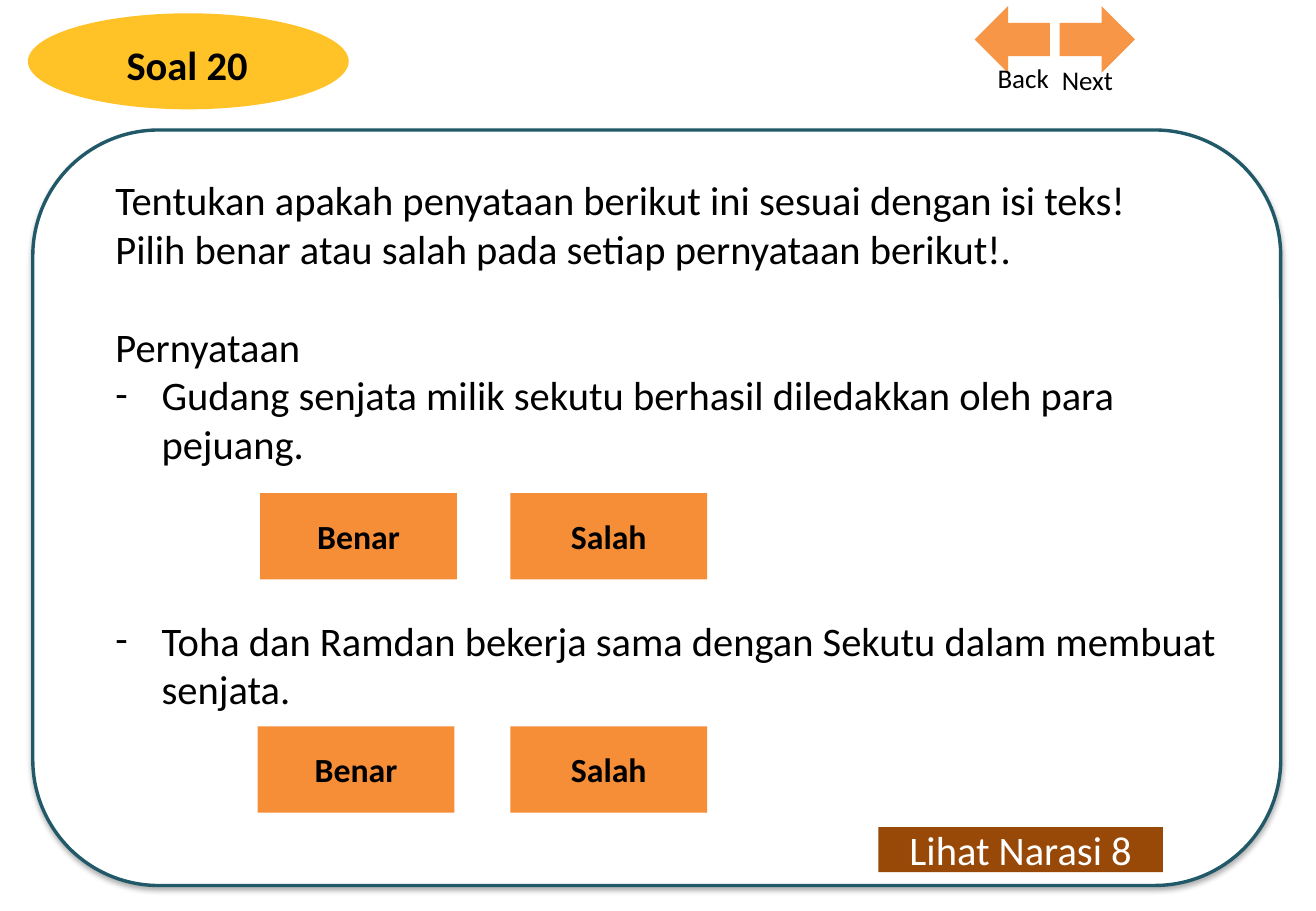
from lxml.etree import SubElement
from pptx import Presentation
from pptx.dml.color import RGBColor
from pptx.enum.shapes import MSO_SHAPE as Preset
from pptx.enum.text import MSO_ANCHOR as Anchor, MSO_AUTO_SIZE as AutoSize, PP_ALIGN as Align
from pptx.oxml.ns import qn
from pptx.util import Emu, Pt

EMU_PER_PX = 9144
BLACK = RGBColor(0x00, 0x00, 0x00)
WHITE = RGBColor(0xFF, 0xFF, 0xFF)
AMBER = RGBColor(0xFF, 0xC3, 0x27)
ORANGE = RGBColor(0xF6, 0x8D, 0x37)
ARROW_ORANGE = RGBColor(0xF7, 0x96, 0x46)
BROWN = RGBColor(0x98, 0x48, 0x07)
TEAL = RGBColor(0x21, 0x59, 0x68)
LINE_PT = 29.3
HANGING_PX = 38


def px(length):
    return Emu(length * EMU_PER_PX)


class QuizSlide:
    """Hold the style and the current slide, with a method per element."""

    style = {"name": "Calibri", "size": Pt(24), "bold": False}

    def __init__(self, presentation):
        self.slide = presentation.slides.add_slide(presentation.slide_layouts[1])

    def place(self, shape, box):
        for name, value in zip(("left", "top", "width", "height"), box):
            setattr(shape, name, px(value))
        self.slide.shapes._spTree.append(shape._element)

    def frame(self, shape, anchor):
        settings = {"word_wrap": True, "auto_size": AutoSize.NONE, "vertical_anchor": anchor}
        for name, value in settings.items():
            setattr(shape.text_frame, name, value)
        return shape.text_frame

    def fill_paragraph(self, paragraph, text, color=BLACK, align=Align.LEFT, before=0, **font):
        paragraph.text = text
        layout = {"alignment": align, "space_before": Pt(before), "space_after": Pt(0), "line_spacing": 1.0}
        for name, value in layout.items():
            setattr(paragraph, name, value)
        for name, value in {**self.style, **font}.items():
            setattr(paragraph.font, name, value)
        paragraph.font.color.rgb = color

    def shape(self, preset, box, fill, line=None, rotation=0):
        shape = self.slide.shapes.add_shape(preset, *map(px, box))
        shape.shadow.inherit = False
        shape.rotation = rotation
        shape.fill.solid()
        shape.fill.fore_color.rgb = fill
        if line is None:
            shape.line.fill.background()
        else:
            shape.line.color.rgb = line
            shape.line.width = Pt(2)
        return shape

    def card(self, box):
        card = self.shape(Preset.ROUNDED_RECTANGLE, box, WHITE, TEAL)
        effects = card._element.spPr.find(qn("a:effectLst"))
        shadow = SubElement(effects, qn("a:outerShdw"), blurRad=str(Pt(3.5)), dist=str(Pt(2.2)),
                            dir="5400000", rotWithShape="0")
        color = SubElement(shadow, qn("a:srgbClr"), val=str(BLACK))
        SubElement(color, qn("a:alpha"), val="32000")

    def button(self, text, box, fill, color=BLACK, **font):
        text_frame = self.frame(self.shape(Preset.RECTANGLE, box, fill), Anchor.MIDDLE)
        self.fill_paragraph(text_frame.paragraphs[0], text, color, Align.CENTER, **font)

    def label(self, text, box, align):
        text_box = self.slide.shapes.add_textbox(*map(px, box))
        text_frame = self.frame(text_box, Anchor.TOP)
        self.fill_paragraph(text_frame.paragraphs[0], text, align=align, size=Pt(16))

    def title(self, text, box):
        title = self.slide.shapes.title
        self.place(title, box)
        text_frame = self.frame(title, Anchor.MIDDLE)
        self.fill_paragraph(text_frame.paragraphs[0], text, align=Align.CENTER, bold=True)

    def body(self, items, box):
        body = self.slide.placeholders[1]
        self.place(body, box)
        text_frame = self.frame(body, Anchor.TOP)
        for index, (text, bulleted, blank_lines) in enumerate(items):
            paragraph = text_frame.add_paragraph() if index else text_frame.paragraphs[0]
            properties = paragraph._p.get_or_add_pPr()
            indent = px(HANGING_PX) if bulleted else 0
            properties.set("marL", str(indent))
            properties.set("indent", str(-indent))
            if bulleted:
                SubElement(properties, qn("a:buFont"), typeface="Calibri")
                SubElement(properties, qn("a:buChar"), char="-")
            else:
                SubElement(properties, qn("a:buNone"))
            self.fill_paragraph(paragraph, text, before=blank_lines * LINE_PT)


def main():
    presentation = Presentation()
    presentation.slide_width, presentation.slide_height = px(1083), px(750)
    quiz = QuizSlide(presentation)

    quiz.shape(Preset.OVAL, (23, 11, 264, 79), AMBER)
    quiz.title("Soal 20", (18, 28, 272, 50))
    quiz.card((27, 107, 1027, 622))
    quiz.body([
        ("Tentukan apakah penyataan berikut ini sesuai dengan isi teks!", False, 0),
        ("Pilih benar atau salah pada setiap pernyataan berikut!.", False, 0),
        ("Pernyataan", False, 1),
        ("Gudang senjata milik sekutu berhasil diledakkan oleh para pejuang.", True, 0),
        ("Toha dan Ramdan bekerja sama dengan Sekutu dalam membuat senjata.", True, 3),
    ], (85, 139, 945, 454))

    for top, true_left in ((406, 214), (598, 212)):
        for text, left in (("Benar", true_left), ("Salah", 420)):
            quiz.button(text, (left, top, 162, 71), ORANGE, size=Pt(20), bold=True)
    quiz.button("Lihat Narasi 8", (723, 681, 234, 37), BROWN, WHITE)

    for left, rotation in ((802, 180), (872, 0)):
        quiz.shape(Preset.RIGHT_ARROW, (left, 5, 62, 55), ARROW_ORANGE, rotation=rotation)
    quiz.label("Next", (864, 47, 140, 37), Align.LEFT)
    quiz.label("Back", (733, 46, 140, 37), Align.RIGHT)

    presentation.save("out.pptx")


if __name__ == "__main__":
    main()
